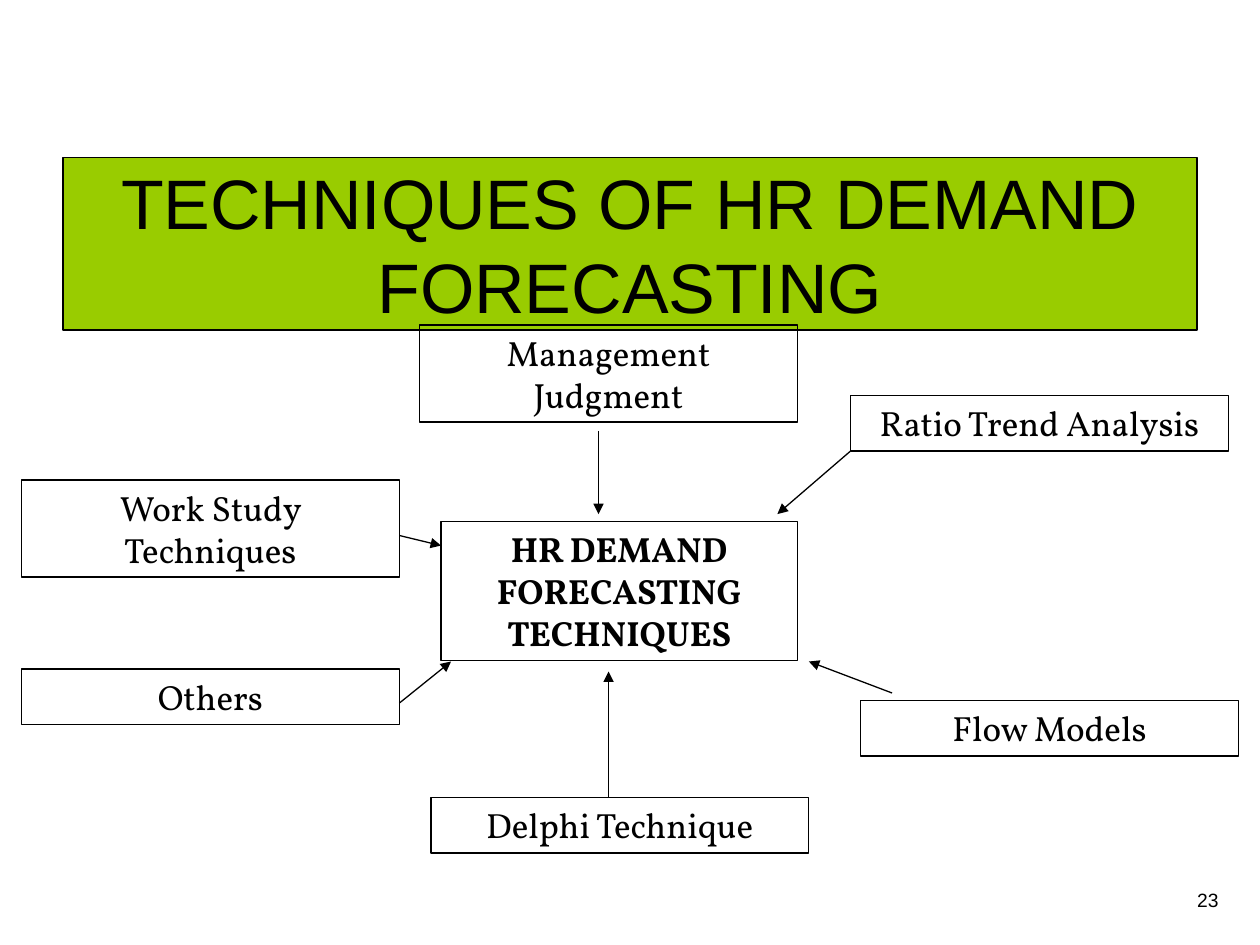
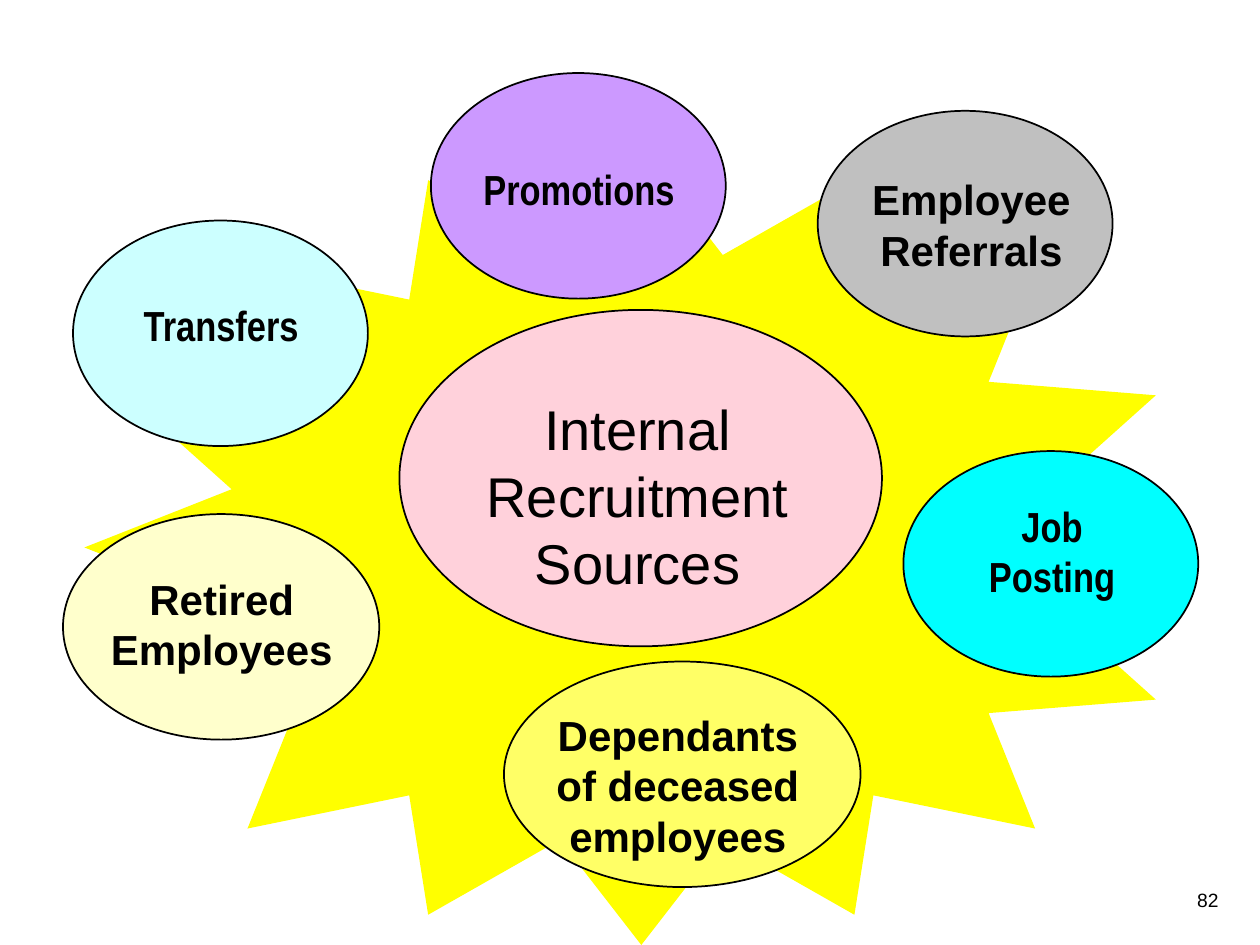
from dataclasses import dataclass

from lxml.etree import SubElement
from pptx import Presentation
from pptx.dml.color import RGBColor
from pptx.enum.shapes import MSO_CONNECTOR, MSO_SHAPE
from pptx.enum.text import MSO_ANCHOR, PP_ALIGN
from pptx.oxml.ns import qn
from pptx.util import Inches, Pt


@dataclass(frozen=True)
class Theme:
    ink: str = "000000"
    title_band: str = "99CC00"
    burst: str = "FFFF00"
    hub: str = "FFD1DB"
    sans: str = "Arial"
    narrow: str = "Arial Narrow"
    serif: str = "Vollkorn"
    title_size: float = 40
    hub_size: float = 32
    source_size: float = 24
    technique_size: float = 20
    page_size: float = 11
    box_line: float = 0.75
    oval_line: float = 1


THEME = Theme()

# Techniques: text, (left, top, width, height)
TECHNIQUES = [
    ("Management Judgment", (3.33, 2.58, 3, 0.77)),
    ("Ratio Trend Analysis", (6.75, 3.14, 3, 0.44)),
    ("Flow Models", (6.83, 5.56, 3, 0.44)),
    ("Delphi Technique", (3.42, 6.33, 3, 0.44)),
    ("Others", (0.17, 5.31, 3, 0.44)),
    ("Work Study Techniques", (0.17, 3.81, 3, 0.77)),
]

# Arrows towards the central box: start, end
ARROWS = [
    ((4.75, 3.42), (4.75, 4.08)),
    ((4.83, 6.33), (4.83, 5.33)),
    ((7.08, 5.5), (6.42, 5.25)),
    ((6.75, 3.58), (6.17, 4.08)),
    ((3.17, 5.58), (3.58, 5.25)),
    ((3.17, 4.25), (3.5, 4.33)),
]

# Sources: lines, font, fill, oval (left, top, width), label area, wraps
OVAL_HEIGHT = 1.79
SOURCES = [
    (["Transfers"], THEME.narrow, "CCFFFF",
     (0.58, 1.75, 2.34), (0.83, 2.33, 1.85, 0.5), True),
    (["Employee", "Referrals"], THEME.sans, "C0C0C0",
     (6.49, 0.88, 2.34), (6.58, 1.33, 2.26, 0.9), True),
    (["Retired", "Employees"], THEME.sans, "FFFFCC",
     (0.5, 4.08, 2.51), (0.78, 4.5, 1.96, 0.9), False),
    (["Job", "Posting"], THEME.narrow, "00FFFF",
     (7.17, 3.58, 2.34), (7.75, 3.92, 1.2, 0.9), False),
    (["Dependants of deceased", "employees"], THEME.sans, "FFFF66",
     (4, 5.25, 2.83), (4.25, 5.58, 2.26, 1.3), True),
    (["Promotions"], THEME.narrow, "CC99FF",
     (3.42, 0.58, 2.34), (3.42, 1.25, 2.35, 0.5), True),
]


def rgb(color):
    return RGBColor.from_string(color)


def write(shape, lines, font, size, bold=False, align=PP_ALIGN.CENTER,
          anchor=MSO_ANCHOR.TOP, wrap=True):
    frame = shape.text_frame
    frame.word_wrap = wrap
    frame.vertical_anchor = anchor
    frame.text = "\n".join(lines)
    for paragraph in frame.paragraphs:
        paragraph.alignment = align
        paragraph.font.name = font
        paragraph.font.size = Pt(size)
        paragraph.font.bold = bold
        paragraph.font.color.rgb = rgb(THEME.ink)


def add_figure(slide, kind, area, fill=None, line=None):
    figure = slide.shapes.add_shape(kind, *map(Inches, area))
    figure.shadow.inherit = False
    if fill:
        figure.fill.solid()
        figure.fill.fore_color.rgb = rgb(fill)
    else:
        figure.fill.background()
    if line:
        figure.line.color.rgb = rgb(THEME.ink)
        figure.line.width = Pt(line)
    else:
        figure.line.fill.background()
    return figure


def add_label(slide, area, lines, font, size, **style):
    label = slide.shapes.add_textbox(*map(Inches, area))
    write(label, lines, font, size, **style)


def add_page_number(slide, number):
    add_label(slide, (7.44, 7, 2.33, 0.52), [str(number)],
              THEME.sans, THEME.page_size, align=PP_ALIGN.RIGHT)


def add_title(slide, text):
    band = add_figure(slide, MSO_SHAPE.RECTANGLE, (0.5, 1.25, 9, 1.37),
                      THEME.title_band, THEME.box_line)
    write(band, [text], THEME.sans, THEME.title_size, anchor=MSO_ANCHOR.MIDDLE)


def add_technique(slide, text, area, bold=False):
    box = add_figure(slide, MSO_SHAPE.RECTANGLE, area, line=THEME.box_line)
    write(box, [text], THEME.serif, THEME.technique_size, bold)


def add_arrow(slide, start, end):
    arrow = slide.shapes.add_connector(
        MSO_CONNECTOR.STRAIGHT, *map(Inches, start + end))
    arrow.line.color.rgb = rgb(THEME.ink)
    arrow.line.width = Pt(THEME.box_line)
    SubElement(arrow.line._get_or_add_ln(), qn("a:tailEnd"), type="triangle")
    SubElement(arrow._element.spPr, qn("a:effectLst"))


def build_techniques(slide):
    add_page_number(slide, 23)
    add_title(slide, "TECHNIQUES OF HR DEMAND FORECASTING")
    add_technique(slide, "HR DEMAND FORECASTING TECHNIQUES",
                  (3.5, 4.14, 2.83, 1.1), bold=True)
    for text, area in TECHNIQUES:
        add_technique(slide, text, area)
    for start, end in ARROWS:
        add_arrow(slide, start, end)


def build_sources(slide):
    add_page_number(slide, 82)

    # Burst and central topic
    burst = add_figure(slide, MSO_SHAPE.STAR_16_POINT, (0.67, 1.19, 8.84, 6.31),
                       THEME.burst)
    burst.adjustments[0] = 0.375
    add_figure(slide, MSO_SHAPE.OVAL, (3.17, 2.46, 3.83, 2.67),
               THEME.hub, THEME.oval_line)
    add_label(slide, (3.24, 3.08, 3.64, 1.7),
              ["Internal", "Recruitment", "Sources"], THEME.sans, THEME.hub_size)

    # Surrounding sources
    for lines, font, fill, oval, label_area, wrap in SOURCES:
        add_figure(slide, MSO_SHAPE.OVAL, (*oval, OVAL_HEIGHT),
                   fill, THEME.oval_line)
        add_label(slide, label_area, lines, font, THEME.source_size,
                  bold=True, wrap=wrap)


def main():
    deck = Presentation()
    deck.slide_width, deck.slide_height = Inches(10), Inches(7.5)
    blank = deck.slide_layouts[6]
    for build in (build_techniques, build_sources):
        build(deck.slides.add_slide(blank))
    deck.save("out.pptx")


if __name__ == "__main__":
    main()
